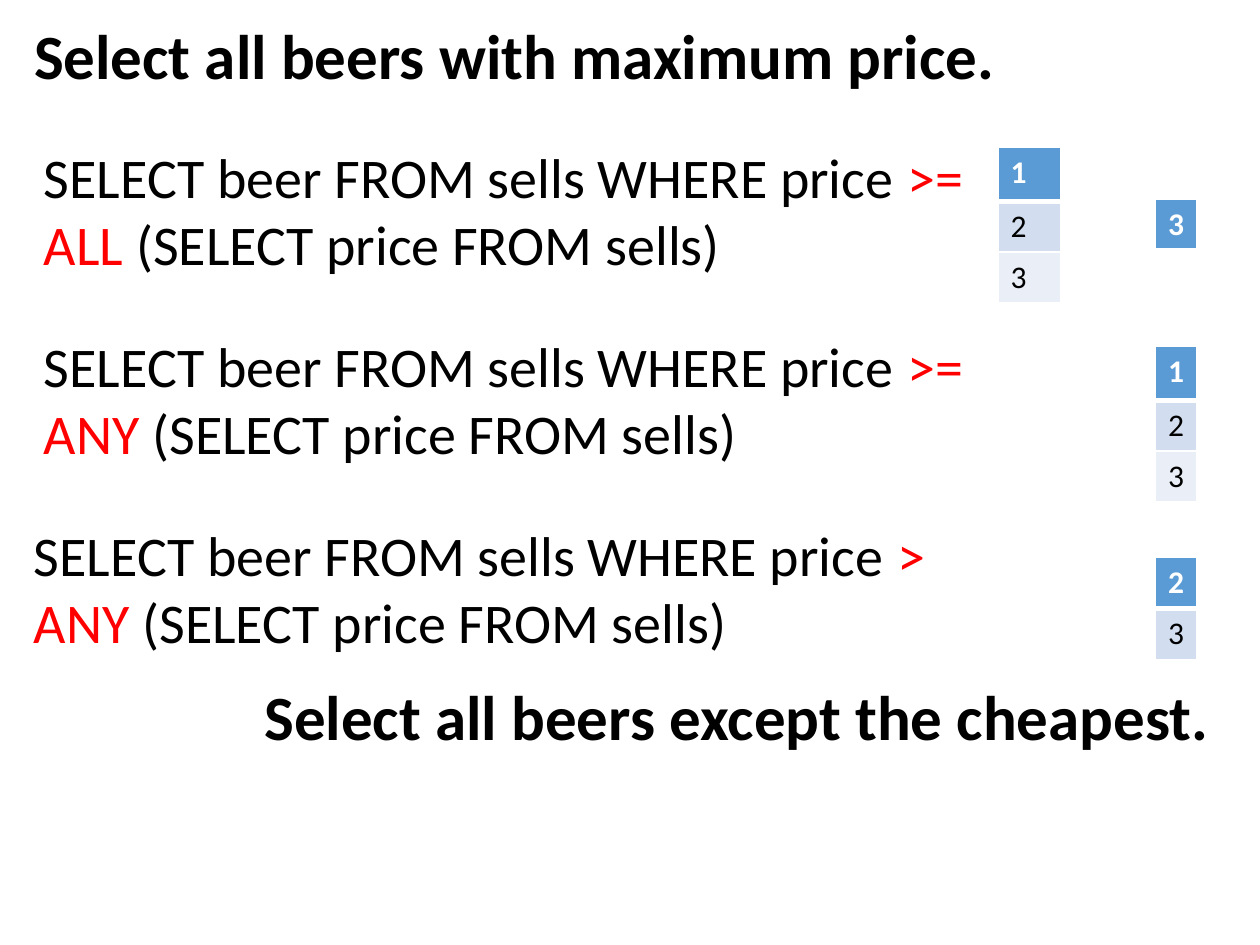
from dataclasses import dataclass

from lxml import etree
from pptx import Presentation
from pptx.dml.color import RGBColor
from pptx.enum.text import MSO_ANCHOR, MSO_AUTO_SIZE, PP_ALIGN
from pptx.oxml.ns import qn
from pptx.util import Inches, Pt

LEFT = PP_ALIGN.LEFT
TOP = MSO_ANCHOR.TOP
GROW = MSO_AUTO_SIZE.SHAPE_TO_FIT_TEXT
TITLE_ONLY = 5


@dataclass(frozen=True)
class Theme:
    font: str = "Calibri"
    black: str = "000000"
    white: str = "FFFFFF"
    red: str = "FF0000"
    head: str = "5B9BD5"
    bands: tuple = ("D2DEEF", "EAEFF7")
    big: int = 36
    code: int = 32
    cell: int = 18


THEME = Theme()


def add_run(para, text, size, color, bold=False):
    run = para.add_run()
    run.text = text
    look = {"name": THEME.font, "size": Pt(size), "bold": bold}
    for key, value in look.items():
        setattr(run.font, key, value)
    run.font.color.rgb = RGBColor.from_string(color)


def set_frame(frame):
    look = {"word_wrap": False, "auto_size": GROW, "vertical_anchor": TOP,
            "margin_left": Inches(0.1), "margin_right": Inches(0.1),
            "margin_top": Inches(0.05), "margin_bottom": Inches(0.05)}
    for key, value in look.items():
        setattr(frame, key, value)


def add_box(slide, left, top, width, height):
    box = slide.shapes.add_textbox(*map(Inches, (left, top, width, height)))
    set_frame(box.text_frame)
    return box.text_frame


def add_heading(frame, text):
    para = frame.paragraphs[0]
    para.alignment = LEFT
    add_run(para, text, THEME.big, THEME.black, True)


def add_title(slide, text):
    title = slide.shapes.title
    title.left, title.top = Inches(0.17), Inches(0.08)
    title.width, title.height = Inches(7.91), Inches(0.71)
    set_frame(title.text_frame)
    add_heading(title.text_frame, text)


def add_query(slide, left, top, width, sign, word):
    """Two lines of SQL with the comparison in red."""
    frame = add_box(slide, left, top, width, 1.18)
    first, second = frame.paragraphs[0], frame.add_paragraph()
    for para, text, color in (
        (first, "SELECT beer FROM sells WHERE price ", THEME.black),
        (first, sign, THEME.red),
        (second, word, THEME.red),
        (second, " (SELECT price FROM sells)", THEME.black),
    ):
        add_run(para, text, THEME.code, color)


def set_borders(cell, widths):
    props = cell._tc.get_or_add_tcPr()
    for spot, (side, width) in enumerate(widths.items()):
        line = etree.Element(qn(f"a:ln{side}"), w=str(Pt(width)))
        fill = etree.SubElement(line, qn("a:solidFill"))
        etree.SubElement(fill, qn("a:srgbClr"), val=THEME.white)
        props.insert(spot, line)


def add_prices(slide, left, top, width, heights, values):
    """One column of prices: a header row, then banded rows."""
    shape = slide.shapes.add_table(len(values), 1, *map(
        Inches, (left, top, width, sum(heights))))
    table = shape.table
    for i, (height, value) in enumerate(zip(heights, values)):
        table.rows[i].height = Inches(height)
        cell = table.cell(i, 0)
        head = i == 0
        color = THEME.white if head else THEME.black
        add_run(cell.text_frame.paragraphs[0], value, THEME.cell, color, head)
        cell.fill.solid()
        fill = THEME.head if head else THEME.bands[(i - 1) % 2]
        cell.fill.fore_color.rgb = RGBColor.from_string(fill)
        set_borders(cell, {"L": 1, "R": 1, "T": 3 if i == 1 else 1,
                           "B": 3 if head else 1})


def main():
    deck = Presentation()
    deck.slide_width, deck.slide_height = Inches(10), Inches(7.5)
    slide = deck.slides.add_slide(deck.slide_layouts[TITLE_ONLY])

    add_title(slide, "Select all beers with maximum price.")
    for query in (
        (0.25, 1.08, 7.77, ">=", "ALL"),
        (0.25, 2.58, 7.77, ">=", "ANY"),
        (0.17, 4.08, 7.34, ">", "ANY"),
    ):
        add_query(slide, *query)

    three, even = (0.43, 0.31, 0.31), (0.41, 0.41)
    for prices in (
        (7.92, 1.17, 0.5, three, "123"),
        (9.17, 1.58, 0.33, even[:1], "3"),
        (9.17, 2.75, 0.33, three, "123"),
        (9.17, 4.42, 0.33, even, "23"),
    ):
        add_prices(slide, *prices)

    add_heading(add_box(slide, 2, 5.33, 7.78, 0.71),
                "Select all beers except the cheapest.")
    deck.save("out.pptx")


if __name__ == "__main__":
    main()
